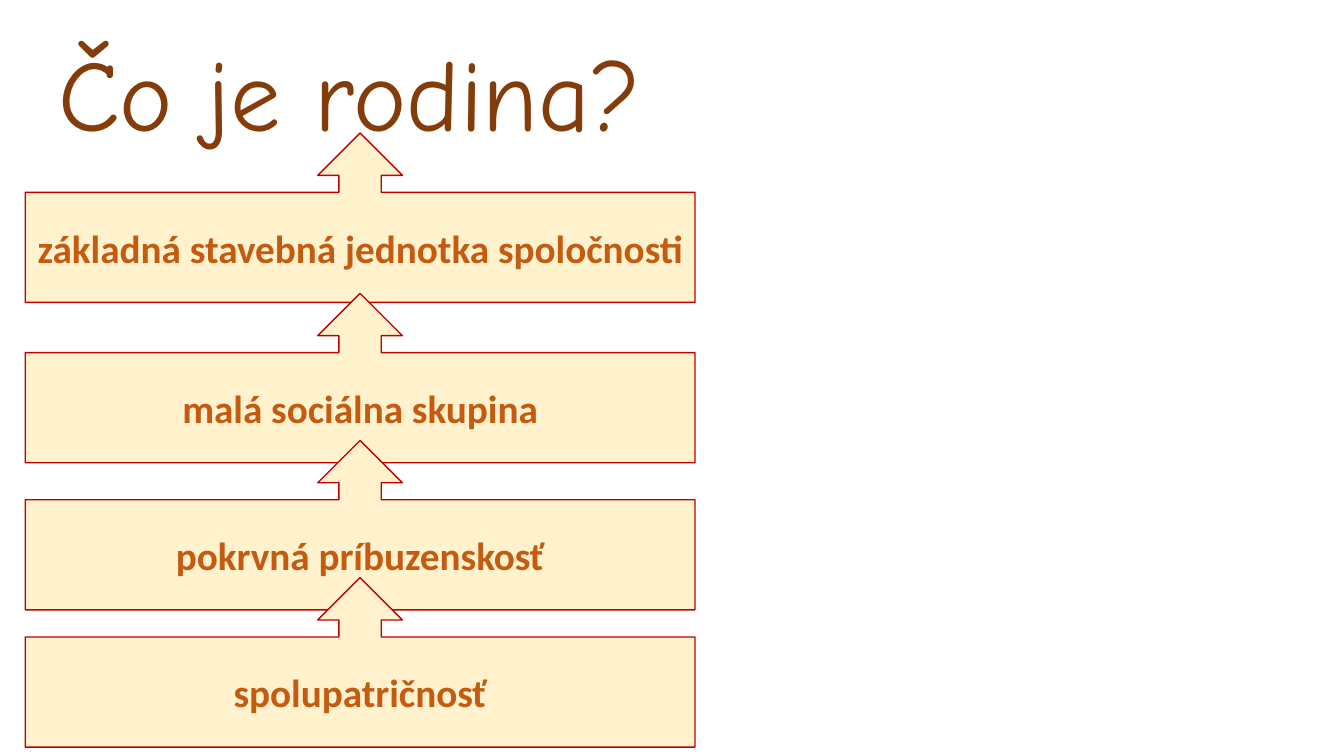
from dataclasses import dataclass

from pptx import Presentation
from pptx.dml.color import RGBColor
from pptx.enum.shapes import MSO_SHAPE
from pptx.enum.text import MSO_ANCHOR, PP_ALIGN
from pptx.util import Pt


@dataclass(frozen=True)
class Theme:
    title_font: str = "Comic Neue"
    body_font: str = "Calibri"
    title_size: int = 72
    body_size: int = 28
    title_color: str = "843C0B"
    text_color: str = "C55A11"
    fill: str = "FFF2CC"
    line: str = "C00000"


class SlideBuilder:
    def __init__(self, prs, theme):
        self.theme = theme
        self.s = prs.slides.add_slide(prs.slide_layouts[5])

    def set_text(self, shape, text, font, size, color, align, bold=False):
        tf = shape.text_frame
        tf.word_wrap = True
        tf.vertical_anchor = MSO_ANCHOR.MIDDLE
        tf.margin_left = tf.margin_right = Pt(7)
        p = tf.paragraphs[0]
        p.text = text
        p.alignment = align
        p.font.name = font
        p.font.size = Pt(size)
        p.font.bold = bold
        p.font.color.rgb = RGBColor.from_string(color)
        return p

    def title(self, text, left, top, width, height):
        t = self.theme
        sp = self.s.shapes.title
        sp.left, sp.top, sp.width, sp.height = map(Pt, (left, top, width, height))
        p = self.set_text(sp, text, t.title_font, t.title_size, t.title_color, PP_ALIGN.LEFT)
        p.line_spacing = 0.9

    def callout(self, text, left, top, width, height):
        t = self.theme
        sp = self.s.shapes.add_shape(MSO_SHAPE.UP_ARROW_CALLOUT,
                                     *map(Pt, (left, top, width, height)))
        sp.shadow.inherit = False
        sp.fill.solid()
        sp.fill.fore_color.rgb = RGBColor.from_string(t.fill)
        sp.line.color.rgb = RGBColor.from_string(t.line)
        sp.line.width = Pt(1)
        self.set_text(sp, text, t.body_font, t.body_size, t.text_color, PP_ALIGN.CENTER, bold=True)


def main():
    prs = Presentation()
    prs.slide_width, prs.slide_height = Pt(960), Pt(540)
    slide = SlideBuilder(prs, Theme())

    # Title
    slide.title("Čo je rodina?", 34.5, 18.7, 828, 104.4)

    # Stacked features of the family, each pointing upwards
    features = [
        ("základná stavebná jednotka spoločnosti", 95),
        ("malá sociálna skupina", 209.5),
        ("pokrvná príbuzenskosť", 314.6),
        ("spolupatričnosť", 412.6),
    ]
    for text, top in features:
        slide.callout(text, 18, top, 478.4, 121)

    prs.save("out.pptx")


if __name__ == "__main__":
    main()
